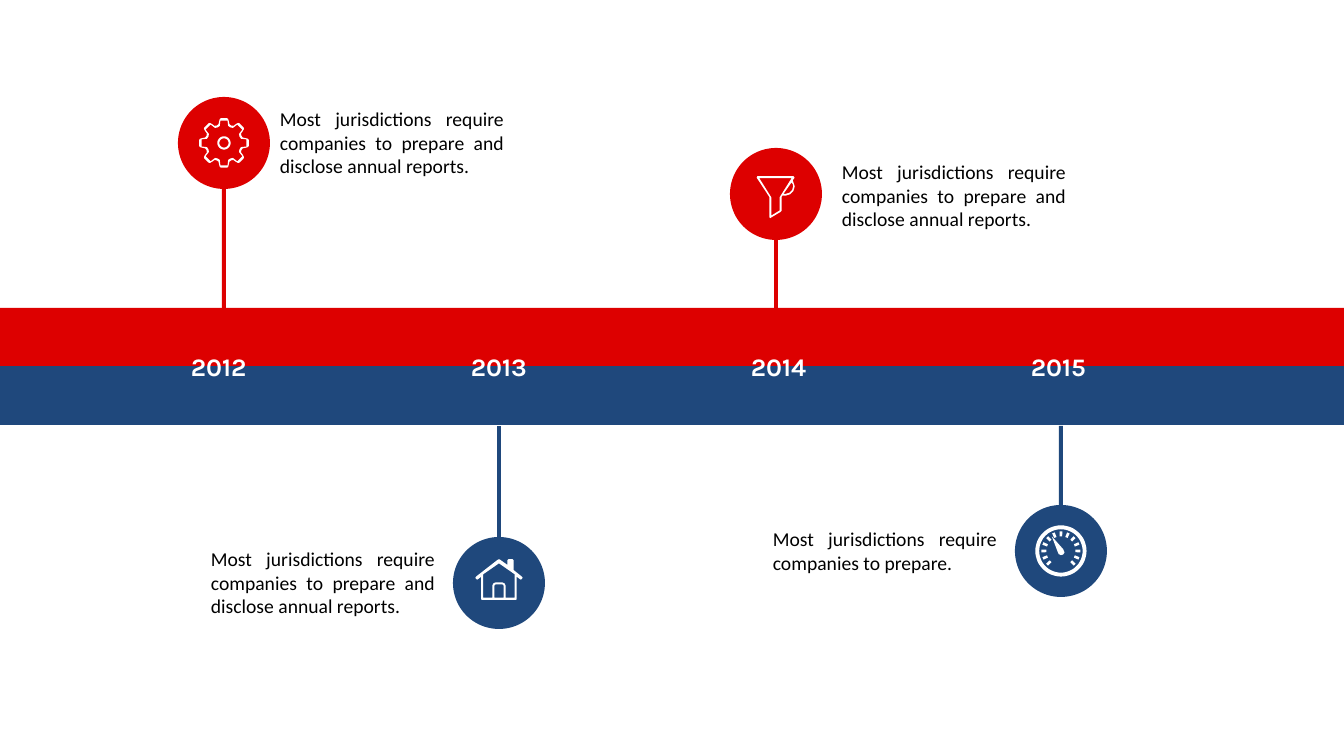
import math

import pptx
import pptx.dml.color
import pptx.enum.shapes
import pptx.enum.text
import pptx.util

PX = 914400 / 100.8
WIDTH, HEIGHT = 1344, 756
RED, BLUE, WHITE, BLACK = "DD0000", "1F487C", "FFFFFF", "000000"
DIAMETER = 92


def px(length):
    return pptx.util.Emu(round(length * PX))


def color(hex_string):
    return pptx.dml.color.RGBColor.from_string(hex_string)


class TimelineSlide:
    """Holds the slide and its style, and draws each kind of element."""

    shapes_enum = pptx.enum.shapes.MSO_SHAPE
    body_font, year_font = "Calibri", "Karla"

    def __init__(self, presentation):
        self.slide = presentation.slides.add_slide(presentation.slide_layouts[6])

    def paint(self, shape, fill):
        shape.shadow.inherit = False
        shape.fill.solid()
        shape.fill.fore_color.rgb = color(fill)
        shape.line.fill.background()

    def preset(self, kind, left, top, width, height, fill):
        shape = self.slide.shapes.add_shape(
            kind, px(left), px(top), px(width), px(height))
        self.paint(shape, fill)

    def rectangle(self, left, top, width, height, fill):
        self.preset(self.shapes_enum.RECTANGLE, left, top, width, height, fill)

    def circle(self, center_x, center_y, fill):
        self.preset(self.shapes_enum.OVAL, center_x - DIAMETER / 2,
                    center_y - DIAMETER / 2, DIAMETER, DIAMETER, fill)

    def text(self, left, top, width, height, words, size, font, fill,
             bold=False, wrap=True):
        box = self.slide.shapes.add_textbox(
            px(left), px(top), px(width), px(height))
        frame = box.text_frame
        frame.word_wrap = wrap
        frame.auto_size = pptx.enum.text.MSO_AUTO_SIZE.SHAPE_TO_FIT_TEXT
        paragraph = frame.paragraphs[0]
        paragraph.text = words
        if wrap:
            paragraph.alignment = pptx.enum.text.PP_ALIGN.JUSTIFY
        paragraph.font.size = pptx.util.Pt(size)
        paragraph.font.name = font
        paragraph.font.bold = bold
        paragraph.font.color.rgb = color(fill)

    def year(self, left, top, words):
        self.text(left, top, 79, 40, words, 18, self.year_font, WHITE,
                  bold=True, wrap=False)

    def description(self, left, top, height, words):
        self.text(left, top, 244, height, words, 14, self.body_font, BLACK)

    def icon(self, center_x, center_y, contours):
        """Contours are in tenths of a px around the centre; inner ones are holes."""
        builder = None
        for contour in contours:
            points = [(center_x * 10 + x, center_y * 10 + y) for x, y in contour]
            if builder is None:
                builder = self.slide.shapes.build_freeform(*points[0], scale=PX / 10)
            else:
                builder.move_to(*points[0])
            builder.add_line_segments(points[1:], close=True)
        self.paint(builder.convert_to_shape(), WHITE)


# Icon outlines
def polar(angle, radius):
    """Point at an angle in degrees, clockwise from the top."""
    turn = math.radians(angle)
    return round(radius * math.sin(turn)), round(-radius * math.cos(turn))


def ring(radius):
    return [polar(angle, radius) for angle in range(0, 360, 6)]


def cog(tooth):
    return [polar(45 * index + angle, radius)
            for index in range(8) for angle, radius in tooth]


def mirrored(half):
    return half + [(-x, y) for x, y in reversed(half)]


def tick(angle):
    return [polar(angle - 5, 146), polar(angle - 4, 195),
            polar(angle + 4, 195), polar(angle + 5, 146)]


GEAR = [
    cog([(-16, 196), (-13, 220), (-10, 244), (-7, 250), (7, 250), (10, 244),
         (13, 220), (16, 196), (22.5, 188)]),
    cog([(-14, 175), (-9, 227), (9, 227), (14, 175), (22.5, 168)]),
    ring(66), ring(46),
]
FUNNEL = [
    [(-186, -178), (-192, -162), (-66, 30), (-66, 232), (-58, 242), (46, 180),
     (56, 170), (56, 30), (66, 15), (96, 17), (140, 4), (174, -28), (188, -76),
     (168, -136), (186, -162), (176, -178)],
    [(-166, -157), (156, -157), (36, 35), (36, 166), (-46, 216), (-46, 35)],
    [(156, -116), (168, -98), (172, -76), (162, -40), (134, -12), (96, 0),
     (76, -2)],
]
HOUSE = [
    [(96, -238), (85, -228), (85, -180), (15, -230), (0, -238), (-15, -230),
     (-226, -66), (-236, -52), (-230, -40), (-216, -34), (-206, -40),
     (-178, -62), (-178, 164), (-168, 170), (168, 170), (178, 164), (178, -62),
     (206, -40), (218, -34), (230, -40), (236, -54), (226, -66), (146, -130),
     (146, -228), (136, -238)],
    mirrored([(0, -196), (158, -86), (158, 148), (66, 148), (66, 25),
              (55, 4), (36, -5)]),
    mirrored([(36, 15), (46, 25), (46, 148)]),
]
GAUGE = [
    ring(256), ring(217),
    *[tick(22.5 * step) for step in range(-6, 7)],
    [(-91, -146), (-30, 15), (-22, 32), (0, 42), (22, 36), (36, 16), (24, -16)],
]

SHORT = "Most jurisdictions require companies to prepare."
LONG = SHORT[:-1] + " and disclose annual reports."

# Colour, circle centre, stem top and height, text left, top, height and words, icon
MILESTONES = [
    (RED, (224, 143), (118, 217), (270, 102, 82, LONG), GEAR),
    (RED, (776, 194), (196, 139), (832, 155, 82, LONG), FUNNEL),
    (BLUE, (499, 583), (426, 188), (201, 542, 82, LONG), HOUSE),
    (BLUE, (1061, 551), (426, 127), (763, 522, 57, SHORT), GAUGE),
]


def main():
    presentation = pptx.Presentation()
    presentation.slide_width = px(WIDTH)
    presentation.slide_height = px(HEIGHT)
    timeline = TimelineSlide(presentation)

    # Bands
    timeline.rectangle(0, 308, WIDTH, 59, RED)
    timeline.rectangle(0, 366, WIDTH, 59, BLUE)

    # Stems
    for fill, (center_x, _), (top, height), _, _ in MILESTONES:
        timeline.rectangle(center_x - 2, top, 4, height, fill)

    # Years
    for index in range(4):
        timeline.year(181 + 280 * index, 346, str(2012 + index))

    # Descriptions
    for _, _, _, description, _ in MILESTONES:
        timeline.description(*description)

    # Circles with icons
    for fill, center, _, _, contours in MILESTONES:
        timeline.circle(*center, fill)
        timeline.icon(*center, contours)

    presentation.save("out.pptx")


if __name__ == "__main__":
    main()
